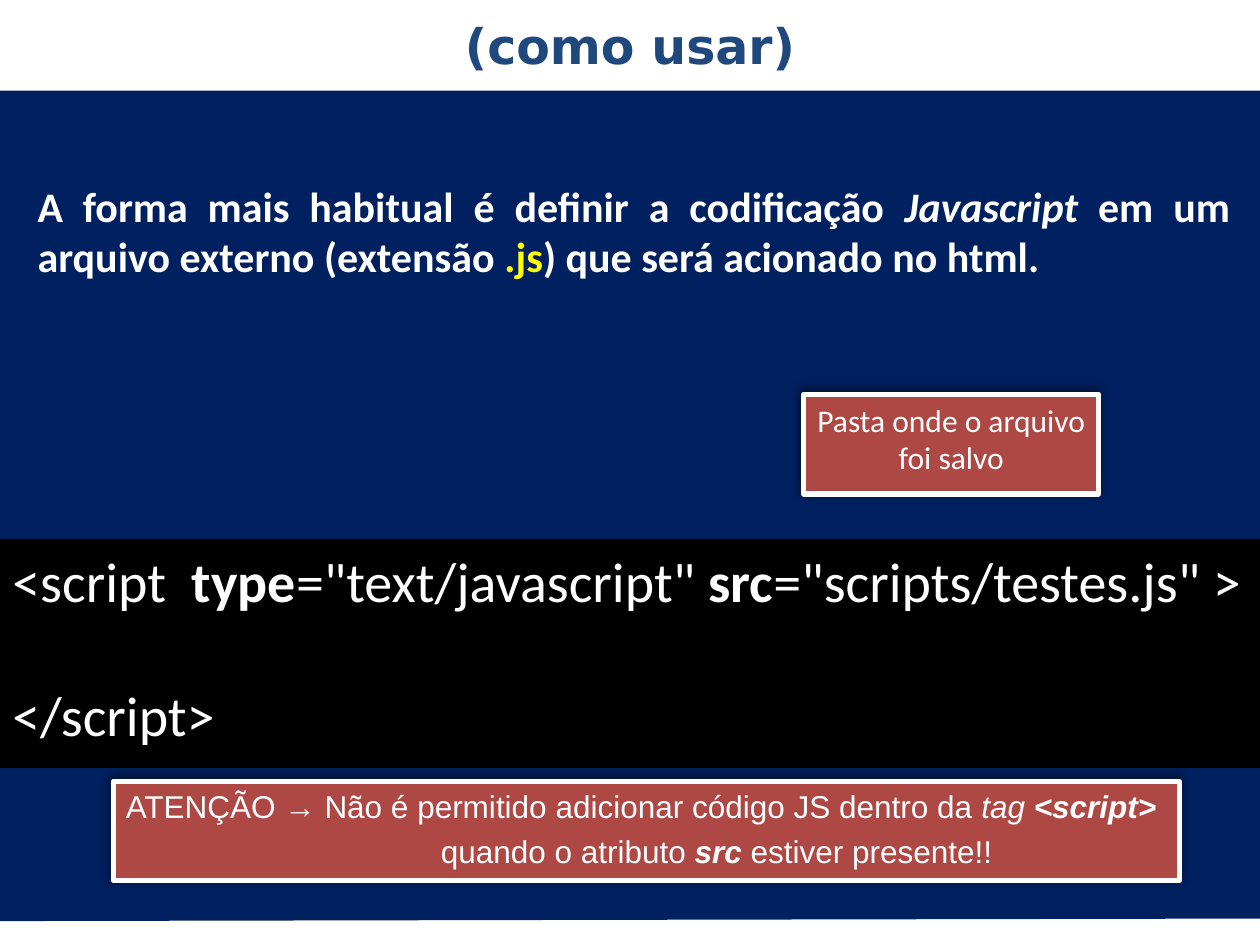
from lxml import etree
from pptx import Presentation
from pptx.dml.color import RGBColor
from pptx.enum.shapes import MSO_SHAPE
from pptx.enum.text import MSO_ANCHOR, PP_ALIGN
from pptx.oxml.ns import qn
from pptx.util import Inches, Pt

RECTANGLE = MSO_SHAPE.RECTANGLE
TOP, MIDDLE = MSO_ANCHOR.TOP, MSO_ANCHOR.MIDDLE
LEFT, CENTER, JUSTIFY = PP_ALIGN.LEFT, PP_ALIGN.CENTER, PP_ALIGN.JUSTIFY
NAVY, WHITE, BLACK = "002060", "FFFFFF", "000000"
RED, YELLOW, TITLE_BLUE = "AE4845", "FFFF00", "1F497D"


def color(value):
    return RGBColor.from_string(value)


class SlideBuilder:
    """Current slide and the styles of its elements."""

    def __init__(self, slide, background):
        self.slide = slide
        slide.background.fill.solid()
        slide.background.fill.fore_color.rgb = color(background)

    def paint(self, shape, fill, line=None, line_width=0):
        shape.shadow.inherit = False
        shape.fill.solid()
        shape.fill.fore_color.rgb = color(fill)
        if line:
            shape.line.color.rgb = color(line)
            shape.line.width = Pt(line_width)
        else:
            shape.line.fill.background()

    def rectangle(self, left, top, width, height, fill, line=None, line_width=0):
        shape = self.slide.shapes.add_shape(
            RECTANGLE, Inches(left), Inches(top), Inches(width), Inches(height))
        self.paint(shape, fill, line, line_width)
        return shape

    def polygon(self, points, fill):
        corners = [(Inches(x), Inches(y)) for x, y in points]
        builder = self.slide.shapes.build_freeform(*corners[0])
        builder.add_line_segments(corners[1:], close=True)
        self.paint(builder.convert_to_shape(), fill)

    def callout(self, left, top, width, height):
        """Red box with a white border and a soft shadow."""
        shape = self.rectangle(left, top, width, height, RED, WHITE, 3)
        effects = shape.element.spPr.find(qn("a:effectLst"))
        shadow = etree.SubElement(
            effects, qn("a:outerShdw"), blurRad=str(Pt(5)), dist=str(Pt(2)),
            dir=str(245 * 60000), rotWithShape="0")
        tint = etree.SubElement(shadow, qn("a:srgbClr"), val=BLACK)
        etree.SubElement(tint, qn("a:alpha"), val="50000")
        return shape

    def text_box(self, left, top, width, height):
        return self.slide.shapes.add_textbox(
            Inches(left), Inches(top), Inches(width), Inches(height))

    def add_text(self, shape, paragraphs, font, size, font_color=WHITE,
                 bold=None, align=LEFT, anchor=TOP):
        """Fill a shape; each paragraph is a list of (text, font changes)."""
        frame = shape.text_frame
        frame.word_wrap = True
        frame.vertical_anchor = anchor
        for index, runs in enumerate(paragraphs):
            paragraph = frame.add_paragraph() if index else frame.paragraphs[0]
            paragraph.alignment = align
            paragraph.font.name = font
            paragraph.font.size = Pt(size)
            paragraph.font.bold = bold
            paragraph.font.color.rgb = color(font_color)
            for text, changes in runs:
                run = paragraph.add_run()
                run.text = text
                run.font.bold = changes.get("bold")
                run.font.italic = changes.get("italic")
                if "color" in changes:
                    run.font.color.rgb = color(changes["color"])
        return frame.paragraphs


def main():
    presentation = Presentation()
    presentation.slide_width = Inches(10)
    presentation.slide_height = Inches(7.5)
    slide = presentation.slides.add_slide(presentation.slide_layouts[6])
    builder = SlideBuilder(slide, NAVY)
    plain, bold, italic = {}, {"bold": True}, {"italic": True}
    bold_italic = {**bold, **italic}

    for band_top in (0, 6.78):
        builder.rectangle(0, band_top, 10, 0.72, WHITE)
    builder.polygon([(0, 3.19), (10, 5.4), (10, 7.29), (0, 7.31)], NAVY)

    introduction = builder.text_box(0.2, 1.38, 9.66, 1.34)
    builder.add_text(introduction, [[
        ("A forma mais habitual é definir a codificação ", plain),
        ("Javascript ", italic),
        ("em um arquivo externo (extensão ", plain),
        (".js", {"color": YELLOW}),
        (") que será acionado no html.", plain),
    ]], "Calibri", 24, bold=True, align=JUSTIFY)

    code = builder.rectangle(0, 4.29, 10, 1.79, BLACK, BLACK, 2)
    code_lines = builder.add_text(code, [
        [("<script  ", plain), ("type", bold), ('="text/javascript" ', plain),
         ("src", bold), ('="scripts/testes.js" >', plain)],
        [("</script>", plain)],
    ], "Calibri", 32)
    code_lines[1].space_before = Pt(38)

    folder_note = builder.callout(6.38, 3.13, 2.34, 0.79)
    builder.add_text(folder_note, [[("Pasta onde o arquivo foi salvo", plain)]],
                     "Calibri", 18, align=CENTER)

    title = builder.text_box(0, 0, 10, 0.71)
    builder.add_text(title, [[("(como usar)", plain)]], "DejaVu Sans", 28,
                     TITLE_BLUE, bold=True, align=CENTER, anchor=MIDDLE)

    warning = builder.callout(0.9, 6.2, 8.46, 0.79)
    warning_lines = builder.add_text(warning, [
        [("ATENÇÃO → Não é permitido adicionar código JS dentro da ", plain),
         ("tag ", italic), ("<script>", bold_italic)],
        [("quando o atributo ", plain), ("src", bold_italic),
         (" estiver presente!!", plain)],
    ], "Arial", 18)
    warning_lines[1].space_before = Pt(3.6)
    indent = warning_lines[1]._p.get_or_add_pPr()
    indent.set("marL", str(Inches(2.5)))

    presentation.save("out.pptx")


if __name__ == "__main__":
    main()
